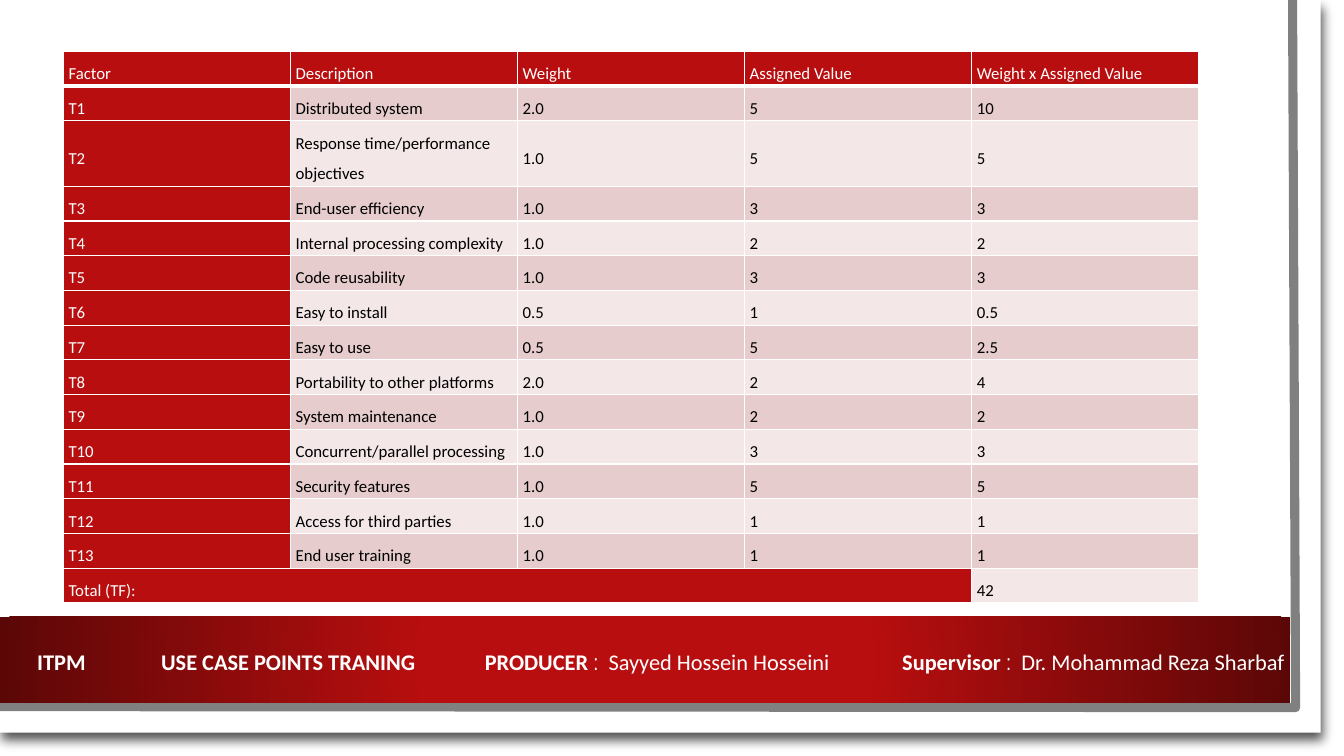
from lxml.etree import SubElement
from pptx import Presentation
from pptx.dml.color import RGBColor
from pptx.enum.shapes import MSO_SHAPE
from pptx.enum.text import MSO_ANCHOR
from pptx.oxml import parse_xml
from pptx.oxml.ns import nsdecls, qn
from pptx.util import Inches, Pt

WHITE = RGBColor(0xFF, 0xFF, 0xFF)
BLACK = RGBColor(0, 0, 0)
GREY = RGBColor(0x80, 0x80, 0x80)
RED = RGBColor(0xB8, 0x0E, 0x0F)
DARK_RED = RGBColor(0x5C, 0x07, 0x07)
PINK = RGBColor(0xE6, 0xCC, 0xCC)
PALE_PINK = RGBColor(0xF3, 0xE7, 0xE7)

HEADINGS = ("Factor", "Description", "Weight", "Assigned Value", "Weight x Assigned Value")
FACTORS = [
    ("Distributed system", "2.0", "5", "10"),
    ("Response time/performance objectives", "1.0", "5", "5"),
    ("End-user efficiency", "1.0", "3", "3"),
    ("Internal processing complexity", "1.0", "2", "2"),
    ("Code reusability", "1.0", "3", "3"),
    ("Easy to install", "0.5", "1", "0.5"),
    ("Easy to use", "0.5", "5", "2.5"),
    ("Portability to other platforms", "2.0", "2", "4"),
    ("System maintenance", "1.0", "2", "2"),
    ("Concurrent/parallel processing", "1.0", "3", "3"),
    ("Security features", "1.0", "5", "5"),
    ("Access for third parties", "1.0", "1", "1"),
    ("End user training", "1.0", "1", "1"),
]
FOOTER_RUNS = [
    ("ITPM\tUSE CASE POINTS TRANING\tPRODUCER", "Calibri", True),
    (" : ", "Arial Narrow", False),
    (" Sayyed Hossein Hosseini\t", "Calibri", False),
    ("Supervisor", "Calibri", True),
    (" : ", "Arial Narrow", False),
    (" Dr. Mohammad Reza Sharbaf", "Calibri", False),
]
FOOTER_TABS = (1.23, 4.44, 8.58)


def style_run(run, size, color, font="Calibri", bold=False):
    run.font.size = Pt(size)
    run.font.color.rgb = color
    run.font.name = font
    run.font.bold = bold


def style_cell(cell, fill, color, bottom_width):
    """Apply fill, white borders and text format to one table cell."""
    cell.vertical_anchor = MSO_ANCHOR.MIDDLE
    cell.margin_left = cell.margin_right = Inches(0.05)
    cell.margin_top = cell.margin_bottom = Inches(0.02)
    properties = cell._tc.get_or_add_tcPr()
    for side, width in (("L", 1), ("R", 1), ("T", 1), ("B", bottom_width)):
        border = SubElement(properties, qn(f"a:ln{side}"), w=str(Pt(width)))
        border_fill = SubElement(border, qn("a:solidFill"))
        SubElement(border_fill, qn("a:srgbClr"), val=str(WHITE))
    cell.fill.solid()
    cell.fill.fore_color.rgb = fill
    paragraph = cell.text_frame.paragraphs[0]
    paragraph.line_spacing = 1.5
    paragraph.space_after = Pt(8)
    for run in paragraph.runs:
        style_run(run, 12, color)


prs = Presentation()
prs.slide_width = Inches(13.33)
prs.slide_height = Inches(7.5)
slide = prs.slides.add_slide(prs.slide_layouts[6])

# Sheet with its grey edge and red footer band
backdrop = slide.shapes.add_group_shape().shapes
sheet = backdrop.add_shape(MSO_SHAPE.RECTANGLE, 0, 0, Inches(13.1), Inches(7.27))
sheet.fill.solid()
sheet.fill.fore_color.rgb = WHITE
sheet.line.fill.background()
sheet._element.spPr.append(parse_xml(
    f'<a:effectLst {nsdecls("a")}><a:outerShdw blurRad="{Pt(7.8)}" dist="{Pt(6)}" '
    'dir="4380000" algn="tl" rotWithShape="0"><a:srgbClr val="000000">'
    '<a:alpha val="68000"/></a:srgbClr></a:outerShdw></a:effectLst>'))

outline = backdrop.build_freeform(Inches(12.82), 0)
outline.add_line_segments(
    [(Inches(12.85), Inches(7.02)), (Inches(-0.03), Inches(7.01))], close=False)
edge = outline.convert_to_shape()
edge.shadow.inherit = False
edge.fill.background()
edge.line.color.rgb = GREY
edge.line.width = Pt(6.5)

band = backdrop.add_shape(MSO_SHAPE.RECTANGLE, 0, Inches(6.12), Inches(12.8), Inches(0.85))
band.shadow.inherit = False
band.line.fill.background()
band.fill.gradient()
for stop, position, color in zip(band.fill.gradient_stops, (0.34, 1), (RED, DARK_RED)):
    stop.position = position
    stop.color.rgb = color
gradient = band._element.spPr.find(qn("a:gradFill"))
gradient.replace(gradient.find(qn("a:lin")), parse_xml(
    f'<a:path {nsdecls("a")} path="circle">'
    '<a:fillToRect l="50000" t="50000" r="50000" b="50000"/></a:path>'))

# Technical factor table
rows = [HEADINGS]
rows += [(f"T{number}", *factor) for number, factor in enumerate(FACTORS, 1)]
rows.append(("Total (TF):", "", "", "", "42"))
factor_table = slide.shapes.add_table(
    len(rows), len(HEADINGS), Inches(0.63), Inches(0.51), Inches(11.26), Inches(5.37)).table
factor_table.first_row = False
factor_table.horz_banding = False
for r, values in enumerate(rows):
    factor_table.rows[r].height = Inches(0.64 if r == 2 else 0.34)
    for c, value in enumerate(values):
        cell = factor_table.cell(r, c)
        cell.text_frame.text = value
        is_heading = r == 0 or c == 0
        fill = RED if is_heading else PINK if r % 2 else PALE_PINK
        style_cell(cell, fill, WHITE if is_heading else BLACK, 3 if r == 0 else 1)
total_row = len(rows) - 1
factor_table.cell(total_row, 0).merge(factor_table.cell(total_row, 3))

# Footer credits
credits = slide.shapes.add_textbox(Inches(0.27), Inches(6.38), Inches(14.68), Inches(0.37))
credits.text_frame.word_wrap = True
credits_line = credits.text_frame.paragraphs[0]
tab_list = SubElement(credits_line._p.get_or_add_pPr(), qn("a:tabLst"))
for tab in FOOTER_TABS:
    SubElement(tab_list, qn("a:tab"), pos=str(Inches(tab)), algn="l")
for text, font, bold in FOOTER_RUNS:
    run = credits_line.add_run()
    run.text = text
    style_run(run, 16, WHITE, font, bold)

prs.save("out.pptx")
